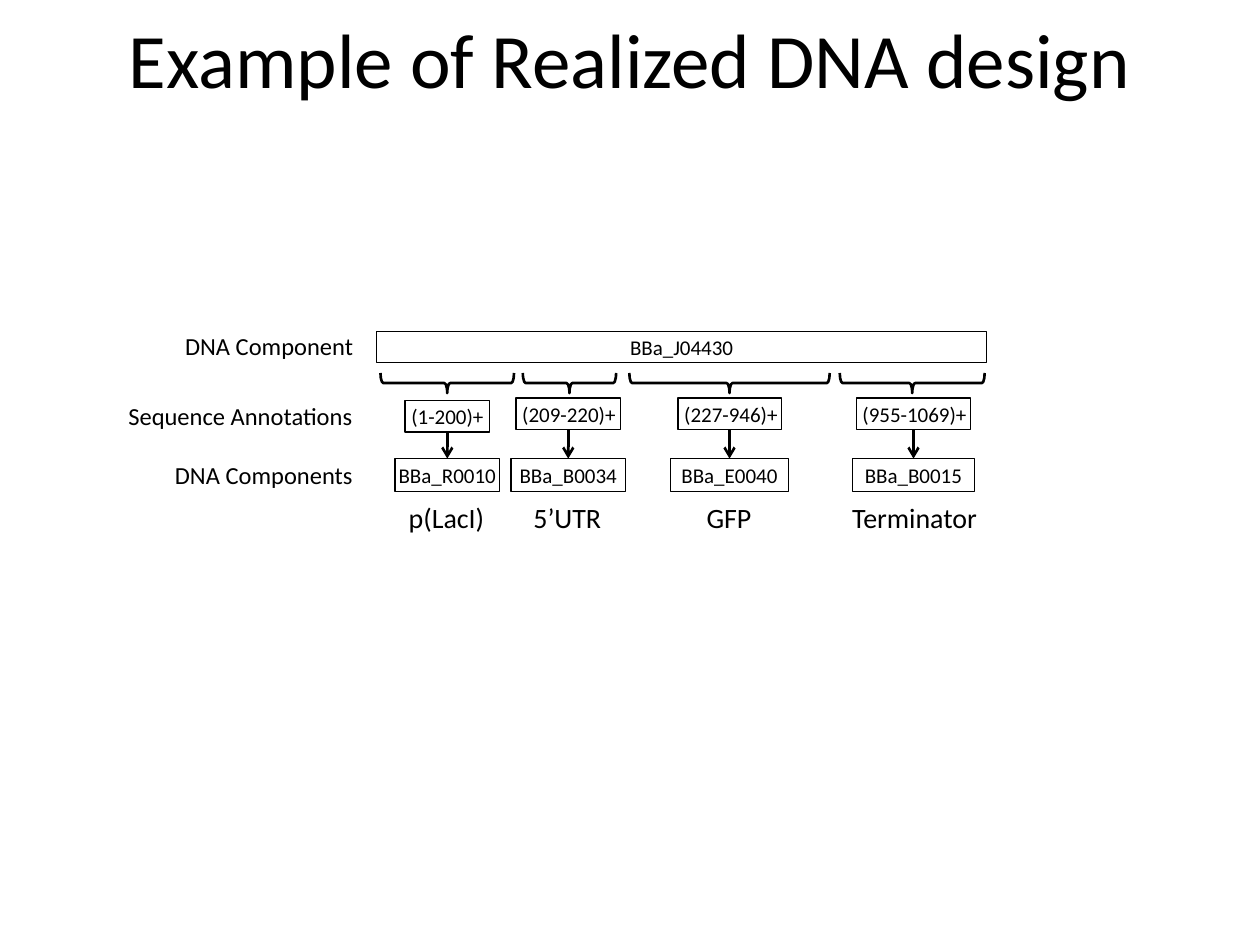
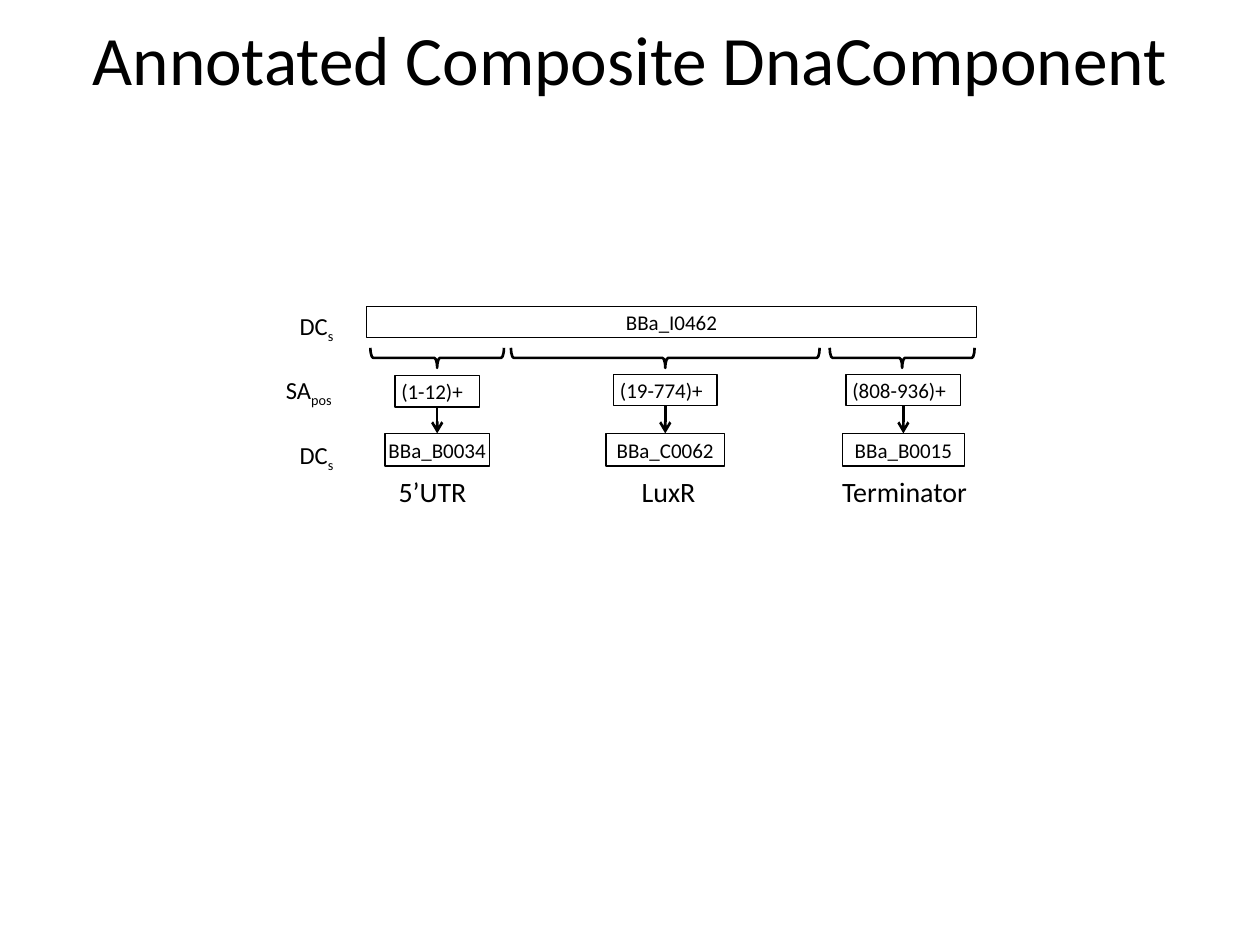
"""Build two slides that show how annotated DNA components are composed."""
from lxml.etree import SubElement
from pptx import Presentation
from pptx.dml.color import RGBColor
from pptx.enum.shapes import MSO_CONNECTOR as LINE, MSO_SHAPE as SHAPE
from pptx.enum.text import MSO_ANCHOR as ANCHOR, PP_ALIGN as ALIGN
from pptx.oxml.ns import qn
from pptx.util import Inches, Pt

BLACK = RGBColor(0, 0, 0)
FONT = "Calibri"
BAR_WIDTH, BOX_HEIGHT, COMPONENT_HEIGHT = 4.84, 0.25, 0.26
BRACE_DROP, BRACE_DEPTH = 0.41, 0.16
COMPONENT_DROP, ROLE_DROP = 1.01, 1.29
LABEL_HEIGHT, ROLE_HEIGHT = 0.34, 0.37

SLIDES = [
    {
        "title": ("Example of Realized DNA design", 44),
        "bar": (2.99, 2.63, "BBa_J04430"),
        "label_right": 2.92,
        "labels": [
            (2.58, 1.55, "DNA Component", ""),
            (3.13, 2.0, "Sequence Annotations", ""),
            (3.6, 1.63, "DNA Components", ""),
        ],
        "parts": [
            {"centre": 3.55, "brace": (3.55, 1.06), "annotation": (0.55, 0.67, "(1-200)+"),
             "component": (0.83, "BBa_R0010"), "role": (3.55, 0.81, "p(LacI)")},
            {"centre": 4.51, "brace": (4.52, 0.74), "annotation": (0.53, 0.83, "(209-220)+"),
             "component": (0.91, "BBa_B0034"), "role": (4.51, 0.75, "5’UTR")},
            {"centre": 5.79, "brace": (5.79, 1.59), "annotation": (0.53, 0.82, "(227-946)+"),
             "component": (0.94, "BBa_E0040"), "role": (5.79, 0.56, "GFP")},
            {"centre": 7.25, "brace": (7.24, 1.15), "annotation": (0.53, 0.91, "(955-1069)+"),
             "component": (0.97, "BBa_B0015"), "role": (7.27, 1.21, "Terminator")},
        ],
    },
    {
        "title": ("Annotated Composite DnaComponent", 39.6),
        "bar": (2.91, 2.43, "BBa_I0462"),
        "label_right": 2.76,
        "labels": [
            (2.42, 0.48, "DC", "s"),
            (2.93, 0.59, "SA", "pos"),
            (3.44, 0.48, "DC", "s"),
        ],
        "parts": [
            {"centre": 3.47, "brace": (3.47, 1.06), "annotation": (0.55, 0.67, "(1-12)+"),
             "component": (0.83, "BBa_B0034"), "role": (3.44, 0.75, "5’UTR")},
            {"centre": 5.28, "brace": (5.28, 2.45), "annotation": (0.54, 0.82, "(19-774)+"),
             "component": (0.94, "BBa_C0062"), "role": (5.31, 0.63, "LuxR")},
            {"centre": 7.17, "brace": (7.16, 1.15), "annotation": (0.54, 0.91, "(808-936)+"),
             "component": (0.97, "BBa_B0015"), "role": (7.19, 1.21, "Terminator")},
        ],
    },
]


def write(box, text, size, align, subscript="", **frame_format):
    frame = box.text_frame
    for name, value in frame_format.items():
        setattr(frame, name, value)
    para = frame.paragraphs[0]
    para.alignment = align
    for words in filter(None, (text, subscript)):
        span = para.add_run()
        span.text = words
        for name, value in {"name": FONT, "size": Pt(size)}.items():
            setattr(span.font, name, value)
        span.font.color.rgb = BLACK
    if subscript:
        span.font._element.set("baseline", "-25000")


def outline(page, kind, left, top, width, height, weight=0.75):
    shape = page.shapes.add_shape(kind, *map(Inches, (left, top, width, height)))
    shape.shadow.inherit = False
    shape.fill.background()
    shape.line.color.rgb = BLACK
    shape.line.width = Pt(weight)
    return shape


deck = Presentation()
deck.slide_width, deck.slide_height = Inches(10), Inches(7.5)

for content in SLIDES:
    page = deck.slides.add_slide(deck.slide_layouts[6])
    title, title_size = content["title"]
    box = page.shapes.add_textbox(Inches(0.5), Inches(-0.17), Inches(9), Inches(1.25))
    write(box, title, title_size, ALIGN.CENTER, word_wrap=True, vertical_anchor=ANCHOR.MIDDLE)

    bar_left, bar_top, bar_name = content["bar"]
    bar = outline(page, SHAPE.RECTANGLE, bar_left, bar_top, BAR_WIDTH, BOX_HEIGHT)
    write(bar, bar_name, 12, ALIGN.CENTER, vertical_anchor=ANCHOR.MIDDLE)

    for top, width, text, subscript in content["labels"]:
        left = content["label_right"] - width
        box = page.shapes.add_textbox(*map(Inches, (left, top, width, LABEL_HEIGHT)))
        write(box, text, 14, ALIGN.LEFT, subscript, word_wrap=False)

    for part in content["parts"]:
        centre = part["centre"]
        brace_centre, length = part["brace"]
        brace = outline(page, SHAPE.LEFT_BRACE, brace_centre - BRACE_DEPTH / 2,
                        bar_top + BRACE_DROP - length / 2, BRACE_DEPTH, length, 1.5)
        brace.rotation = 270
        brace.adjustments[0], brace.adjustments[1] = 0.14, 0.5

        drop, width, text = part["annotation"]
        annotation_top = bar_top + drop
        annotation = outline(page, SHAPE.RECTANGLE, centre - width / 2, annotation_top,
                             width, BOX_HEIGHT)
        write(annotation, text, 12, ALIGN.LEFT, vertical_anchor=ANCHOR.MIDDLE, word_wrap=True,
              margin_left=Inches(0.05), margin_right=0,
              margin_top=Inches(0.05), margin_bottom=Inches(0.05))

        width, text = part["component"]
        component_top = bar_top + COMPONENT_DROP
        component = outline(page, SHAPE.RECTANGLE, centre - width / 2, component_top,
                            width, COMPONENT_HEIGHT)
        write(component, text, 12, ALIGN.CENTER, vertical_anchor=ANCHOR.MIDDLE, word_wrap=False)

        ends = (centre, annotation_top + BOX_HEIGHT, centre, component_top)
        arrow = page.shapes.add_connector(LINE.STRAIGHT, *map(Inches, ends))
        arrow.line.color.rgb = BLACK
        arrow.line.width = Pt(1.5)
        SubElement(arrow.line._get_or_add_ln(), qn("a:tailEnd"), type="arrow")
        SubElement(arrow._element.spPr, qn("a:effectLst"))

        role_centre, width, text = part["role"]
        box = page.shapes.add_textbox(*map(Inches, (
            role_centre - width / 2, bar_top + ROLE_DROP, width, ROLE_HEIGHT)))
        write(box, text, 16, ALIGN.LEFT, word_wrap=False)

deck.save("out.pptx")
